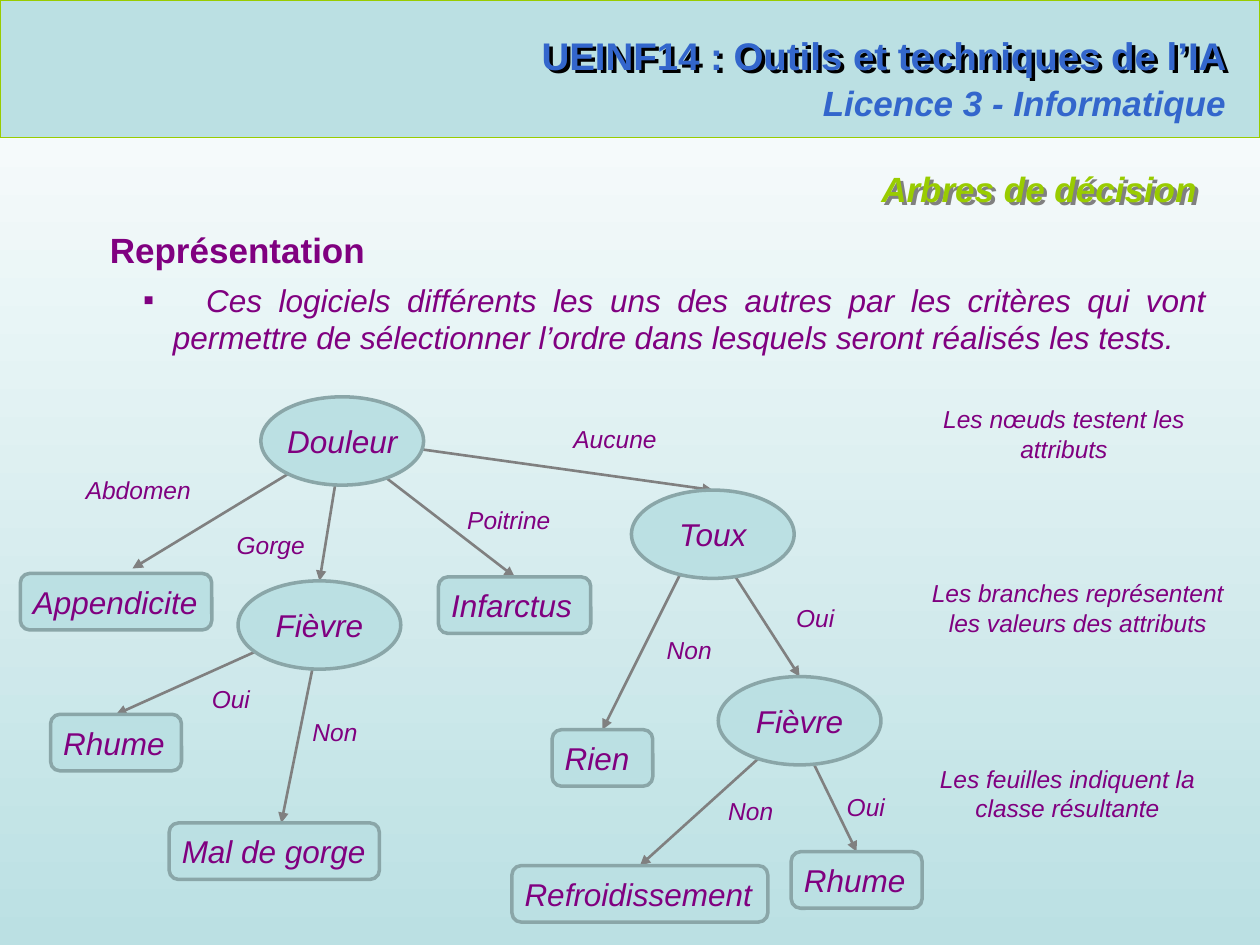
from lxml.etree import SubElement
from pptx import Presentation
from pptx.dml.color import RGBColor
from pptx.enum.shapes import MSO_CONNECTOR, MSO_SHAPE
from pptx.enum.text import MSO_ANCHOR, MSO_AUTO_SIZE, PP_ALIGN
from pptx.oxml.ns import qn
from pptx.util import Cm, Pt

COLOURS = {
    "white": "FFFFFF", "pale": "BBE0E3", "border": "8AA6A8", "blue": "3366CC",
    "green": "99CC00", "purple": "800080", "grey": "808080", "black": "000000",
}

# Node: text, kind, left, top, width (cm, relative to the tree box)
NODES = {
    "pain": ("Douleur", "test", 4.85, 0, 3.28),
    "cough": ("Toux", "test", 12.32, 1.88, 3.28),
    "throat fever": ("Fièvre", "test", 4.39, 3.71, 3.28),
    "cough fever": ("Fièvre", "test", 14.07, 5.64, 3.28),
    "appendicitis": ("Appendicite", "leaf", 0, 3.56, 3.86),
    "infarct": ("Infarctus", "leaf", 8.43, 3.63, 3.07),
    "throat cold": ("Rhume", "leaf", 0.61, 6.4, 2.64),
    "sore throat": ("Mal de gorge", "leaf", 3, 8.59, 4.24),
    "nothing": ("Rien", "leaf", 10.72, 6.71, 2.03),
    "chill": ("Refroidissement", "leaf", 9.91, 9.45, 5.16),
    "cough cold": ("Rhume", "leaf", 15.54, 9.17, 2.64),
}
HEIGHTS = {"test": 1.78, "leaf": 1.14}

# Branch: parent, child, label, label box (left, top, width), start shift, end shift
BRANCHES = [
    ("pain", "cough", "Aucune", (10.9, 0.43, 2.21), (-0.18, -0.08), (0, 0)),
    ("pain", "appendicitis", "Abdomen", (1.07, 1.45, 2.64), (0, 0), (0.33, -0.1)),
    ("pain", "throat fever", "Gorge", (4.11, 2.57, 1.91), (0, 0), (0, 0)),
    ("pain", "infarct", "Poitrine", (8.76, 2.06, 2.21), (0.05, 0.1), (0, 0)),
    ("cough", "cough fever", "Oui", (15.39, 4.04, 1.3), (0, 0.15), (0, 0)),
    ("cough", "nothing", "Non", (12.78, 4.67, 1.42), (0, -0.51), (0, 0)),
    ("throat fever", "throat cold", "Oui", (3.61, 5.66, 1.3), (-0.1, 0), (0, 0)),
    ("throat fever", "sore throat", "Non", (5.64, 6.32, 1.42), (0, 0.18), (0.14, 0)),
    ("cough fever", "cough cold", "Oui", (16.41, 7.85, 1.3), (-0.1, 0.08), (0, 0)),
    ("cough fever", "chill", "Non", (14.02, 7.92, 1.42), (-0.1, 0.1), (0, 0)),
]

NOTES = [
    ("Les nœuds testent les attributs", 0.31, 0, 6.12),
    ("Les branches représentent les valeurs des attributs", 0.21, 3.5, 6.88),
    ("Les feuilles indiquent la classe résultante", 0, 7.24, 6.88),
]


def colour(name):
    return RGBColor.from_string(COLOURS[name])


def lengths(*values):
    return [Cm(value) for value in values]


def place(shape, box):
    shape.left, shape.top, shape.width, shape.height = lengths(*box)


def write(para, text, size, tint="purple", bold=False, italic=True, align=PP_ALIGN.LEFT):
    para.alignment = align
    span = para.add_run()
    span.text = text
    font = span.font
    font.name, font.size, font.bold, font.italic = "Arial", Pt(size), bold, italic
    font.color.rgb = colour(tint)


def add_text(page, box, text, size, wrap=False, **style):
    shape = page.shapes.add_textbox(*lengths(*box))
    shape.text_frame.word_wrap = wrap
    write(shape.text_frame.paragraphs[0], text, size, **style)
    return shape


def add_line(page, start, end, tint, width, arrow=False):
    line = page.shapes.add_connector(MSO_CONNECTOR.STRAIGHT, *lengths(*start, *end))
    line.line.color.rgb = colour(tint)
    line.line.width = Pt(width)
    if arrow:
        SubElement(line.line._get_or_add_ln(), qn("a:tailEnd"), type="triangle")
    SubElement(line._element.spPr, qn("a:effectLst"))


def add_block(page, kind, box, border, width):
    shape = page.shapes.add_shape(kind, *lengths(*box))
    shape.shadow.inherit = False
    shape.fill.solid()
    shape.fill.fore_color.rgb = colour("pale")
    shape.line.color.rgb = colour(border)
    shape.line.width = Pt(width)
    return shape


def add_text_shadow(shape, tint):
    effects = SubElement(shape._element.spPr, qn("a:effectLst"))
    shadow = SubElement(effects, qn("a:outerShdw"), dist="35921", dir="2700000", algn="ctr")
    SubElement(shadow, qn("a:srgbClr"), val=COLOURS[tint])


def fill_background(page):
    fill = page.background.fill
    fill.gradient()
    fill.gradient_angle = 270
    for stop, name in zip(fill.gradient_stops, ("white", "pale")):
        stop.color.rgb = colour(name)


def build_header(page, box):
    left, top, width, height = box
    band = add_block(page, MSO_SHAPE.RECTANGLE, box, "green", 0.75)
    page.shapes.element.insert(2, band._element)  # behind the title
    base = top + height
    add_line(page, (left + 0.86, base), (left + width - 0.61, base), "green", 0.75)

    title = page.shapes.title
    place(title, (left + 10.26, top + 0.51, 14.73, 1.19))
    frame = title.text_frame
    frame.word_wrap, frame.auto_size = False, MSO_AUTO_SIZE.NONE
    frame.vertical_anchor = MSO_ANCHOR.TOP
    write(frame.paragraphs[0], "UEINF14 : Outils et techniques de l’IA", 22,
          tint="blue", bold=True, italic=False, align=PP_ALIGN.RIGHT)
    add_text_shadow(title, "black")
    add_text(page, (left + 16.28, top + 1.52, 8.69, 1.12), "Licence 3 - Informatique", 20,
             tint="blue", bold=True, align=PP_ALIGN.RIGHT)


def build_body(page, box):
    left, top, width, height = box
    heading = add_text(page, (left + 3.55, top, 18.87, 1.12), "Arbres de décision", 20,
                       wrap=True, tint="green", bold=True, align=PP_ALIGN.RIGHT)
    add_text_shadow(heading, "grey")

    body = page.placeholders[1]
    place(body, (left, top + 1.22, width, height - 1.22))
    frame = body.text_frame
    frame.word_wrap, frame.auto_size = True, MSO_AUTO_SIZE.NONE
    topic, detail = frame.paragraphs[0], frame.add_paragraph()
    detail.level = 1
    for para in (topic, detail):
        para.space_before, para.space_after = Pt(0), Pt(6)

    settings = topic._p.get_or_add_pPr()
    settings.set("marL", "0")
    settings.set("indent", "0")
    SubElement(settings, qn("a:buNone"))
    write(topic, "Représentation", 20, bold=True, italic=False, align=PP_ALIGN.JUSTIFY)

    # Hanging bullet, with a tab stop for the first line
    settings = detail._p.get_or_add_pPr()
    settings.set("marL", str(Cm(1.27)))
    settings.set("indent", str(-Cm(0.6)))
    SubElement(settings, qn("a:buChar"), char="▪")
    stops = SubElement(settings, qn("a:tabLst"))
    SubElement(stops, qn("a:tab"), pos=str(Cm(1.94)), algn="l")
    write(detail, "\tCes logiciels différents les uns des autres par les critères qui vont "
          "permettre de sélectionner l’ordre dans lesquels seront réalisés les tests.",
          18, align=PP_ALIGN.JUSTIFY)


def build_tree(page, left, top):
    # Branches run from the centre of a parent to the top of its child
    for parent, child, label, (x, y, width), start, end in BRANCHES:
        _, kind, px, py, pwidth = NODES[parent]
        _, _, cx, cy, cwidth = NODES[child]
        add_line(page,
                 (left + px + pwidth / 2 + start[0], top + py + HEIGHTS[kind] / 2 + start[1]),
                 (left + cx + cwidth / 2 + end[0], top + cy + end[1]), "grey", 1.5, arrow=True)
        add_text(page, (left + x, top + y, width, 0.86), label, 14)

    # Tests are ellipses, leaves are rounded boxes
    for text, kind, x, y, width in NODES.values():
        is_test = kind == "test"
        outline = MSO_SHAPE.OVAL if is_test else MSO_SHAPE.ROUNDED_RECTANGLE
        node = add_block(page, outline, (left + x, top + y, width, HEIGHTS[kind]), "border", 2)
        frame = node.text_frame
        frame.word_wrap = not is_test
        frame.margin_right = 0
        frame.margin_left = Cm(0 if is_test else 0.2)
        frame.vertical_anchor = MSO_ANCHOR.MIDDLE
        write(frame.paragraphs[0], text, 18,
              align=PP_ALIGN.CENTER if is_test else PP_ALIGN.LEFT)


def build_notes(page, left, top):
    for text, x, y, width in NOTES:
        add_text(page, (left + x, top + y, width, 1.45), text, 14,
                 wrap=True, align=PP_ALIGN.CENTER)


def main():
    deck = Presentation()
    deck.slide_width, deck.slide_height = lengths(25.4, 19.05)
    page = deck.slides.add_slide(deck.slide_layouts[1])
    fill_background(page)
    build_header(page, (0, 0, 25.4, 2.77))
    build_body(page, (1.96, 3.25, 22.61, 4.09))
    build_tree(page, 0.41, 8)
    build_notes(page, 18.08, 8.03)
    deck.save("out.pptx")


if __name__ == "__main__":
    main()
